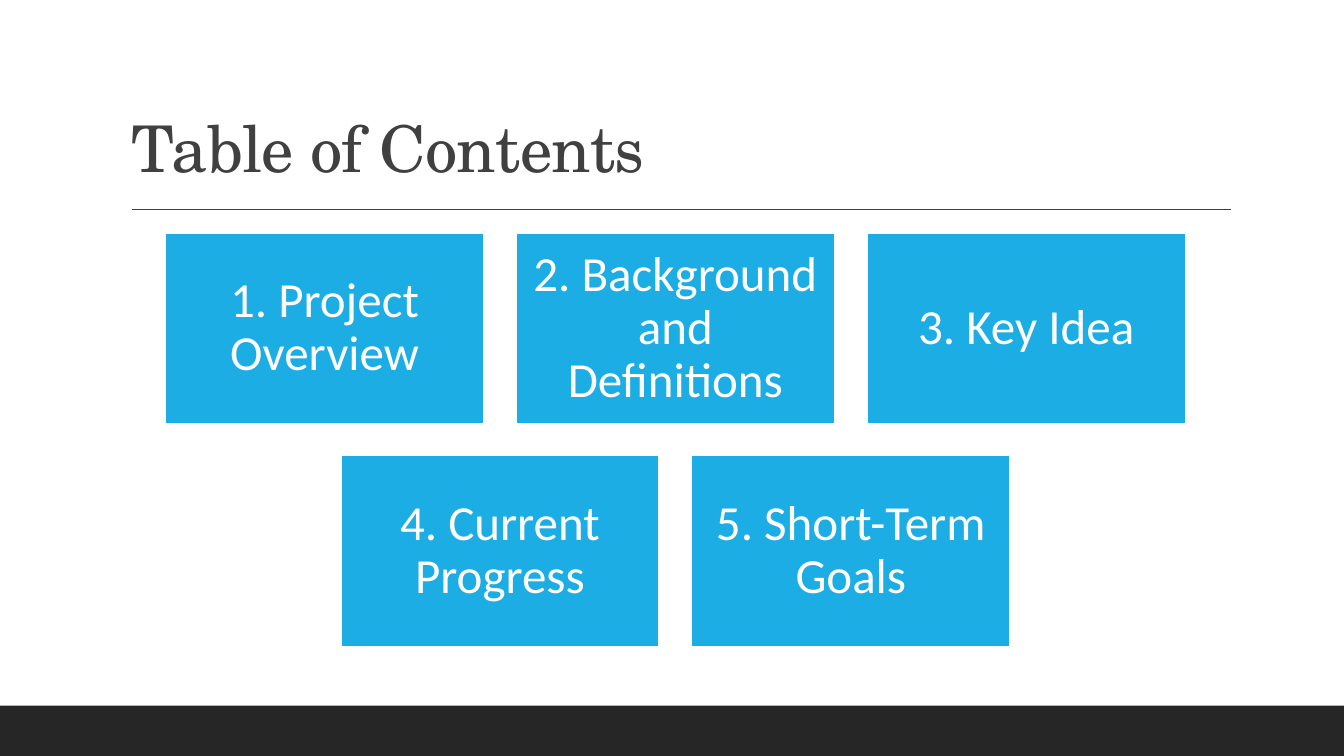
from typing import NamedTuple

from pptx import Presentation
from pptx.dml.color import RGBColor
from pptx.enum import shapes, text
from pptx.oxml import parse_xml
from pptx.oxml.ns import nsdecls
from pptx.util import Inches, Pt

WHITE, BLUE, GREY, DARK = "FFFFFF", "1CADE4", "404040", "262626"
TILE_W, TILE_H = 3.16, 1.9
STEP_X, STEP_Y = 3.48, 2.21
CENTER_X, TOP = 6.7, 2.31
ROWS = [
    ["1. Project Overview", "2. Background and Definitions", "3. Key Idea"],
    ["4. Current Progress", "5. Short-Term Goals"],
]


class Tile(NamedTuple):
    label: str
    x: float
    y: float


def rgb(value: str) -> RGBColor:
    return RGBColor.from_string(value)


def write(tf, content: str, *, size: float, font: str, color: str,
          align=text.PP_ALIGN.LEFT, anchor=text.MSO_ANCHOR.MIDDLE,
          spacing: int = 0) -> None:
    """Fill a text frame with one formatted paragraph."""
    tf.word_wrap = True
    tf.auto_size = text.MSO_AUTO_SIZE.NONE
    tf.vertical_anchor = anchor
    p = tf.paragraphs[0]
    p.alignment = align
    p.line_spacing = 0.9
    r = p.add_run()
    r.text = content
    r.font.size = Pt(size)
    r.font.name = font
    r.font.color.rgb = rgb(color)
    if spacing:
        r.font._element.set("spc", str(spacing))


def add_rect(s, x: float, y: float, w: float, h: float, fill: str):
    sp = s.shapes.add_shape(shapes.MSO_SHAPE.RECTANGLE,
                            Inches(x), Inches(y), Inches(w), Inches(h))
    sp.shadow.inherit = False
    sp.fill.solid()
    sp.fill.fore_color.rgb = rgb(fill)
    sp.line.fill.background()
    return sp


def add_tile(s, tile: Tile) -> None:
    sp = add_rect(s, tile.x, tile.y, TILE_W, TILE_H, BLUE)
    sp.line.color.rgb = rgb(WHITE)
    sp.line.width = Pt(1.25)
    tf = sp.text_frame
    tf.margin_left = tf.margin_right = Inches(0.15)
    tf.margin_top = tf.margin_bottom = Inches(0.15)
    write(tf, tile.label, size=35, font="Calibri", color=WHITE,
          align=text.PP_ALIGN.CENTER)


def layout_tiles() -> list[Tile]:
    """Centre each row of tiles on the same axis."""
    tiles = []
    for row, labels in enumerate(ROWS):
        left = CENTER_X - (STEP_X * (len(labels) - 1) + TILE_W) / 2
        tiles += [Tile(label, left + col * STEP_X, TOP + row * STEP_Y)
                  for col, label in enumerate(labels)]
    return tiles


def main() -> None:
    prs = Presentation()
    prs.slide_width, prs.slide_height = Inches(13.33), Inches(7.5)
    s = prs.slides.add_slide(prs.slide_layouts[5])

    # Footer band and rule under the title
    add_rect(s, 0, 7, 13.33, 0.5, DARK)
    rule = s.shapes.add_connector(shapes.MSO_CONNECTOR.STRAIGHT, Inches(1.31),
                                  Inches(2.08), Inches(12.21), Inches(2.08))
    rule.line.color.rgb = rgb(GREY)
    rule.line.width = Pt(1)
    rule._element.spPr.append(parse_xml(f"<a:effectLst {nsdecls('a')}/>"))

    # Title
    title = s.shapes.title
    title.left, title.top = Inches(1.2), Inches(0.31)
    title.width, title.height = Inches(11), Inches(1.59)
    write(title.text_frame, "Table of Contents", size=46,
          font="TeX Gyre Schola", color=GREY,
          anchor=text.MSO_ANCHOR.BOTTOM, spacing=-50)

    # Contents tiles
    for tile in layout_tiles():
        add_tile(s, tile)

    prs.save("out.pptx")


if __name__ == "__main__":
    main()
